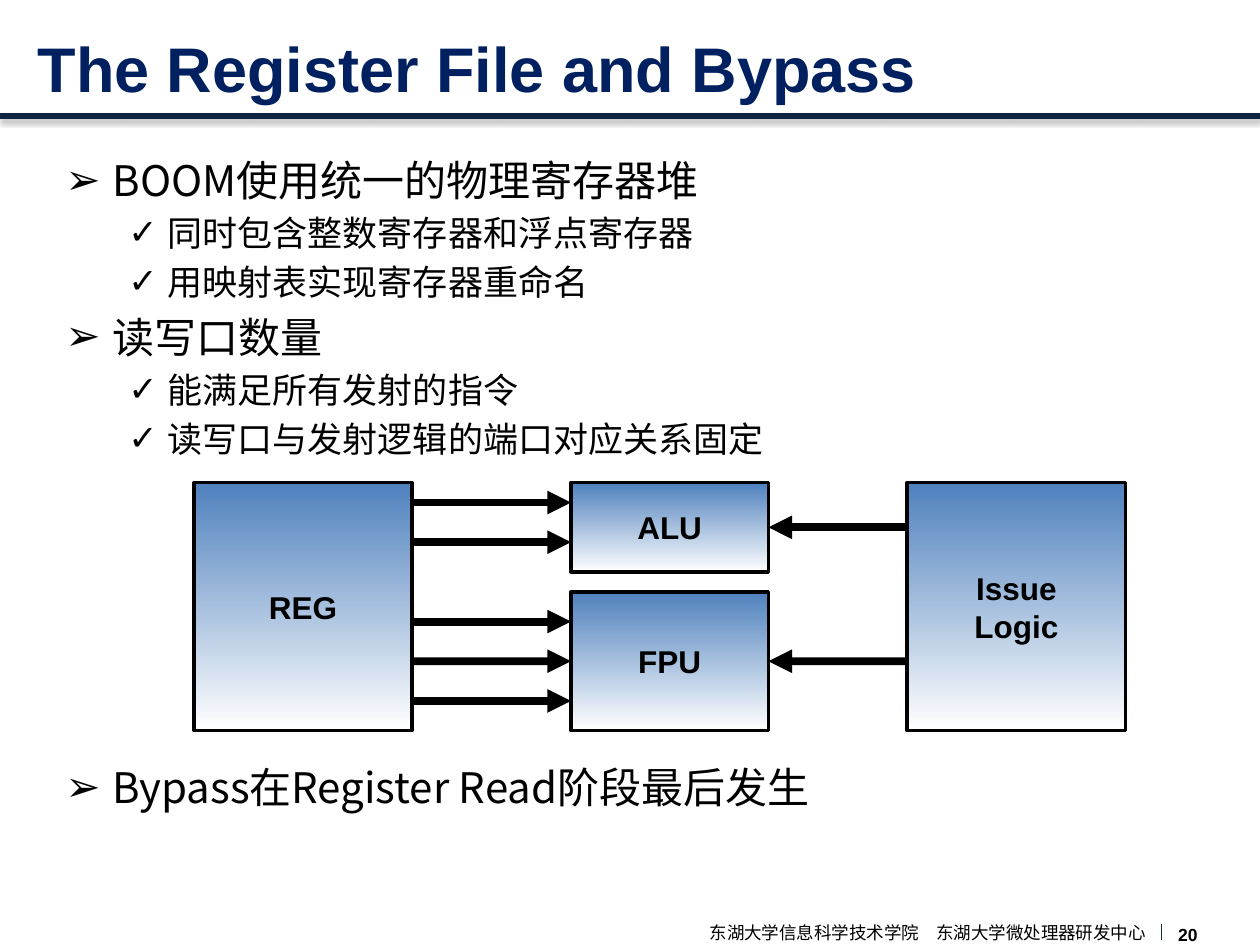
import dataclasses

import lxml.etree
import pptx
import pptx.dml.color
import pptx.enum.shapes
import pptx.enum.text
import pptx.oxml.ns
import pptx.util

Cm, Pt = pptx.util.Cm, pptx.util.Pt
RGB = pptx.dml.color.RGBColor.from_string
PP_ALIGN = pptx.enum.text.PP_ALIGN
ANCHOR = pptx.enum.text.MSO_ANCHOR
qn = pptx.oxml.ns.qn


@dataclasses.dataclass(frozen=True)
class Theme:
    black: str = "000000"
    title: str = "002060"
    rule: str = "0F243E"
    separator: str = "172F37"
    block_top: str = "4F81BD"
    block_bottom: str = "FFFFFF"
    font: str = "Arial"
    body_font: str = "Noto Sans CJK JP"
    title_size: float = 36
    body_sizes: tuple = (24, 20)
    block_size: float = 18
    footer_size: float = 10


T = Theme()


def add_run(p, text, size, font=T.font, color=T.black, bold=False):
    r = p.add_run()
    r.text = text
    r.font.size = Pt(size)
    r.font.bold = bold
    r.font.color.rgb = RGB(color)
    r.font.name = font
    lxml.etree.SubElement(r._r.get_or_add_rPr(), qn("a:ea"), typeface=font)


def add_line(x1, y1, x2, y2, color, width, arrow=False):
    """Add a straight line without shadow; coordinates are in centimetres."""
    c = s.shapes.add_connector(pptx.enum.shapes.MSO_CONNECTOR.STRAIGHT,
                               Cm(x1), Cm(y1), Cm(x2), Cm(y2))
    c.line.color.rgb = RGB(color)
    c.line.width = Pt(width)
    if arrow:
        lxml.etree.SubElement(c.line._get_or_add_ln(), qn("a:tailEnd"), type="triangle")
    lxml.etree.SubElement(c._element.spPr, qn("a:effectLst"))
    return c


prs = pptx.Presentation()
prs.slide_width, prs.slide_height = Cm(25.4), Cm(19.05)
s = prs.slides.add_slide(prs.slide_layouts[6])

# Header rule with a soft shadow
rule = add_line(0, 2.34, 25.4, 2.34, T.rule, 3)
shadow = lxml.etree.SubElement(rule._element.spPr.find(qn("a:effectLst")), qn("a:outerShdw"),
                               blurRad=str(Pt(3.1)), dist=str(Pt(1.8)),
                               dir="5400000", rotWithShape="0")
shade = lxml.etree.SubElement(shadow, qn("a:srgbClr"), val=T.black)
lxml.etree.SubElement(shade, qn("a:alpha"), val="35000")

# Title
tf = s.shapes.add_textbox(Cm(0.51), Cm(0), Cm(24.2), Cm(2.72)).text_frame
tf.word_wrap = True
tf.vertical_anchor = ANCHOR.MIDDLE
add_run(tf.paragraphs[0], "The Register File and Bypass", T.title_size,
        color=T.title, bold=True)

# Bullets above and below the diagram: (level, text)
bullet_boxes = [
    (2.82, 6.6, [
        (0, "BOOM使用统一的物理寄存器堆"),
        (1, "同时包含整数寄存器和浮点寄存器"),
        (1, "用映射表实现寄存器重命名"),
        (0, "读写口数量"),
        (1, "能满足所有发射的指令"),
        (1, "读写口与发射逻辑的端口对应关系固定"),
    ]),
    (15.06, 1.5, [(0, "Bypass在Register Read阶段最后发生")]),
]
bullet_styles = [("➢", 0.95, 0.95), ("✓", 2.06, 0.79)]  # mark, margin, hanging
for top, height, bullets in bullet_boxes:
    tf = s.shapes.add_textbox(Cm(1.07), Cm(top), Cm(23.29), Cm(height)).text_frame
    tf.word_wrap = True
    for i, (level, text) in enumerate(bullets):
        mark, margin, hanging = bullet_styles[level]
        size = T.body_sizes[level]
        p = tf.add_paragraph() if i else tf.paragraphs[0]
        p.level = level
        p.alignment = PP_ALIGN.JUSTIFY
        p.line_spacing = Pt(1.4 * size)
        pPr = p._p.get_or_add_pPr()
        pPr.set("marL", str(Cm(margin)))
        pPr.set("indent", str(-Cm(hanging)))
        lxml.etree.SubElement(pPr, qn("a:buFont"), typeface=T.font)
        lxml.etree.SubElement(pPr, qn("a:buChar"), char=mark)
        add_run(p, text, size, T.body_font)

# Diagram blocks: label lines, left, top, width, height
blocks = {}
for label, left, top, width, height in [
    (["REG"], 3.91, 9.73, 4.4, 5),
    (["ALU"], 11.51, 9.73, 3.98, 1.8),
    (["FPU"], 11.51, 11.93, 3.98, 2.8),
    (["Issue", "Logic"], 18.29, 9.73, 4.4, 5),
]:
    sp = s.shapes.add_shape(pptx.enum.shapes.MSO_SHAPE.RECTANGLE,
                            Cm(left), Cm(top), Cm(width), Cm(height))
    sp.shadow.inherit = False
    sp.fill.gradient()
    sp.fill.gradient_angle = 270
    for stop, color in zip(sp.fill.gradient_stops, (T.block_top, T.block_bottom)):
        stop.color.rgb = RGB(color)
    sp.line.color.rgb = RGB(T.black)
    sp.line.width = Pt(2)
    tf = sp.text_frame
    tf.margin_left = tf.margin_top = tf.margin_right = tf.margin_bottom = 0
    tf.vertical_anchor = ANCHOR.MIDDLE
    for i, text in enumerate(label):
        p = tf.add_paragraph() if i else tf.paragraphs[0]
        p.alignment = PP_ALIGN.CENTER
        add_run(p, text, T.block_size, bold=True)
    blocks[label[0]] = sp

# Register ports sit on an even grid; slot 2 is the gap between ALU and FPU
for slot in (0, 1, 3, 4, 5):
    y = 10.13 + 0.8 * slot
    port = add_line(8.31, y, 11.51, y, T.black, 4.5, arrow=True)
    if slot == 4:
        port.end_connect(blocks["FPU"], 1)

# Issue logic drives the middle of each unit
for unit, y in (("ALU", 10.63), ("FPU", 13.33)):
    issue = add_line(18.29, y, 15.49, y, T.black, 4.5, arrow=True)
    issue.end_connect(blocks[unit], 3)

# Footer
add_line(23.42, 18.62, 23.42, 18.95, T.separator, 0.75)
for text, left, width, align, bold in [
    ("东湖大学信息科学技术学院　东湖大学微处理器研发中心", 11.1, 11.99, PP_ALIGN.RIGHT, False),
    ("20", 23.75, 0.86, PP_ALIGN.LEFT, True),
]:
    tf = s.shapes.add_textbox(Cm(left), Cm(18.62), Cm(width), Cm(0.4)).text_frame
    tf.word_wrap = True
    tf.margin_left = tf.margin_top = tf.margin_right = tf.margin_bottom = 0
    p = tf.paragraphs[0]
    p.alignment = align
    if not bold:
        p.line_spacing = Pt(11)
        p.space_before = Pt(1)
    add_run(p, text, T.footer_size, bold=bold)

prs.save("out.pptx")
